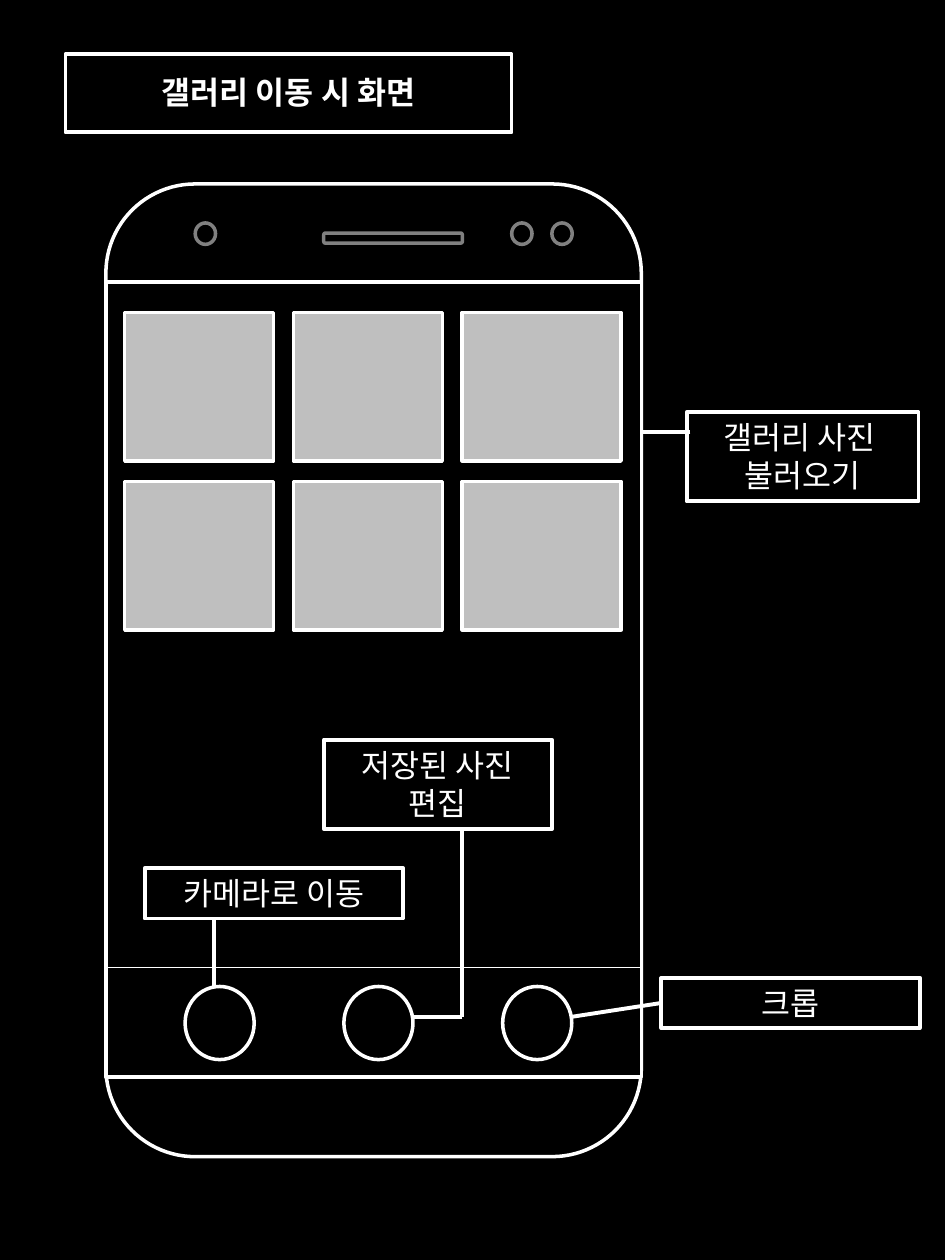
from pptx import Presentation
from pptx.dml.color import RGBColor
from pptx.enum.shapes import MSO_CONNECTOR as Link, MSO_SHAPE as Kind
from pptx.enum.text import MSO_ANCHOR as Anchor, MSO_AUTO_SIZE as Fit, PP_ALIGN as Align
from pptx.oxml.ns import qn
from pptx.util import Inches, Pt
from lxml.etree import SubElement

WIDE, HIGH = 7.5, 10
FONT = "Noto Sans CJK KR"
BLACK, WHITE, GREY, PALE = "000000", "FFFFFF", "808080", "BFBFBF"


def tint(part, color):
    """Give a fill or a font one solid colour."""
    if hasattr(part, "solid"):
        part.solid()
        part.fore_color.rgb = RGBColor.from_string(color)
    else:
        part.color.rgb = RGBColor.from_string(color)


def inner(box, x, y, w, h):
    """Return the box at the given percent shares of another box."""
    left, top, width, height = box
    return (left + width * x / 100, top + height * y / 100,
            width * w / 100, height * h / 100)


def draw(slide, kind, box, fill=None, line=WHITE):
    """Add an outlined shape, filled or hollow."""
    shape = slide.shapes.add_shape(kind, *map(Inches, box))
    shape.shadow.inherit = False
    if fill:
        tint(shape.fill, fill)
    else:
        shape.fill.background()
    tint(shape.line.fill, line)
    shape.line.width = Pt(2)
    return shape


def join(slide, start, end, width=2.25):
    """Add a straight white line between two points."""
    line = slide.shapes.add_connector(Link.STRAIGHT, *map(Inches, start + end))
    tint(line.line.fill, WHITE)
    line.line.width = Pt(width)
    SubElement(line._element.spPr, qn("a:effectLst"))


def label(slide, box, text, bold=None, pad=0.05):
    """Add a framed, centred text box."""
    area = slide.shapes.add_textbox(*map(Inches, box))
    tint(area.line.fill, WHITE)
    area.line.width = Pt(2.25)
    frame = area.text_frame
    frame.word_wrap = True
    frame.auto_size = Fit.SHAPE_TO_FIT_TEXT
    frame.vertical_anchor = Anchor.TOP
    frame.margin_top = frame.margin_bottom = Inches(pad)
    frame.text = text
    for para in frame.paragraphs:
        para.alignment = Align.CENTER
        for run in para.runs:
            run.font.size, run.font.name, run.font.bold = Pt(18), FONT, bold
            tint(run.font, WHITE)
            SubElement(run.font._element, qn("a:ea")).set("typeface", FONT)


def head(slide, box):
    """Place the speaker slot and the three lenses."""
    draw(slide, Kind.ROUNDED_RECTANGLE, inner(box, 40.7, 50, 25.9, 10.3), line=GREY)
    for x in (16.7, 75.8, 83.3):
        draw(slide, Kind.FLOWCHART_CONNECTOR, inner(box, x, 39.7, 3.8, 21.8), line=GREY)


def photos(slide, box):
    """Place two rows of three photos, the last column a little wider."""
    for row in range(2):
        for col, width in enumerate((30, 30, 32)):
            draw(slide, Kind.RECTANGLE,
                 inner(box, 34 * col, 53.2 * row, width, 46.8), PALE)


def bar(slide, box):
    """Place the bar's top edge and its three round buttons."""
    left, top, width, _ = box
    join(slide, (left, top), (left + width, top), 0.75)
    for col in range(3):
        draw(slide, Kind.FLOWCHART_CONNECTOR,
             inner(box, 14.8 + 29.65 * col, 17.2, 12.9, 66.7), BLACK)


def phone(slide, box):
    """Place the phone's body, its screen and all that lies on them."""
    draw(slide, Kind.ROUNDED_RECTANGLE, box, BLACK)
    draw(slide, Kind.RECTANGLE, inner(box, 0, 10.1, 100, 81.74), BLACK)
    head(slide, inner(box, 0, 0, 100, 10.1))
    photos(slide, inner(box, 3.53, 13.21, 92.7, 32.64))
    bar(slide, inner(box, 0, 80.57, 100, 11.27))


def notes(slide, box):
    """Place the callouts and their leader lines over the slide's box."""
    for area, text in (
        ((15.33, 68.9, 27.33, 4), "카메라로 이동"),
        ((34.27, 58.7, 24.13, 7.1), "저장된 사진 편집"),
        ((72.67, 32.7, 24.53, 7.1), "갤러리 사진 \n불러오기"),
        ((70, 77.6, 27.33, 4), "크롭"),
    ):
        label(slide, inner(box, *area), text)
    for route in (
        ((22.67, 72.8), (22.67, 78.3)),
        ((48.93, 65.7), (48.93, 80.7), (43.73, 80.7)),
        ((73.07, 34.3), (67.87, 34.3)),
        ((70, 79.6), (60.53, 80.7)),
    ):
        dots = [inner(box, x, y, 0, 0)[:2] for x, y in route]
        for start, end in zip(dots, dots[1:]):
            join(slide, start, end)


deck = Presentation()
deck.slide_width, deck.slide_height = Inches(WIDE), Inches(HIGH)
page = deck.slides.add_slide(deck.slide_layouts[6])
tint(page.background.fill, BLACK)
phone(page, (0.84, 1.46, 4.25, 7.72))
label(page, (0.52, 0.43, 3.54, 0.62), "갤러리 이동 시 화면", True, 0.16)
notes(page, (0, 0, WIDE, HIGH))
deck.save("out.pptx")
